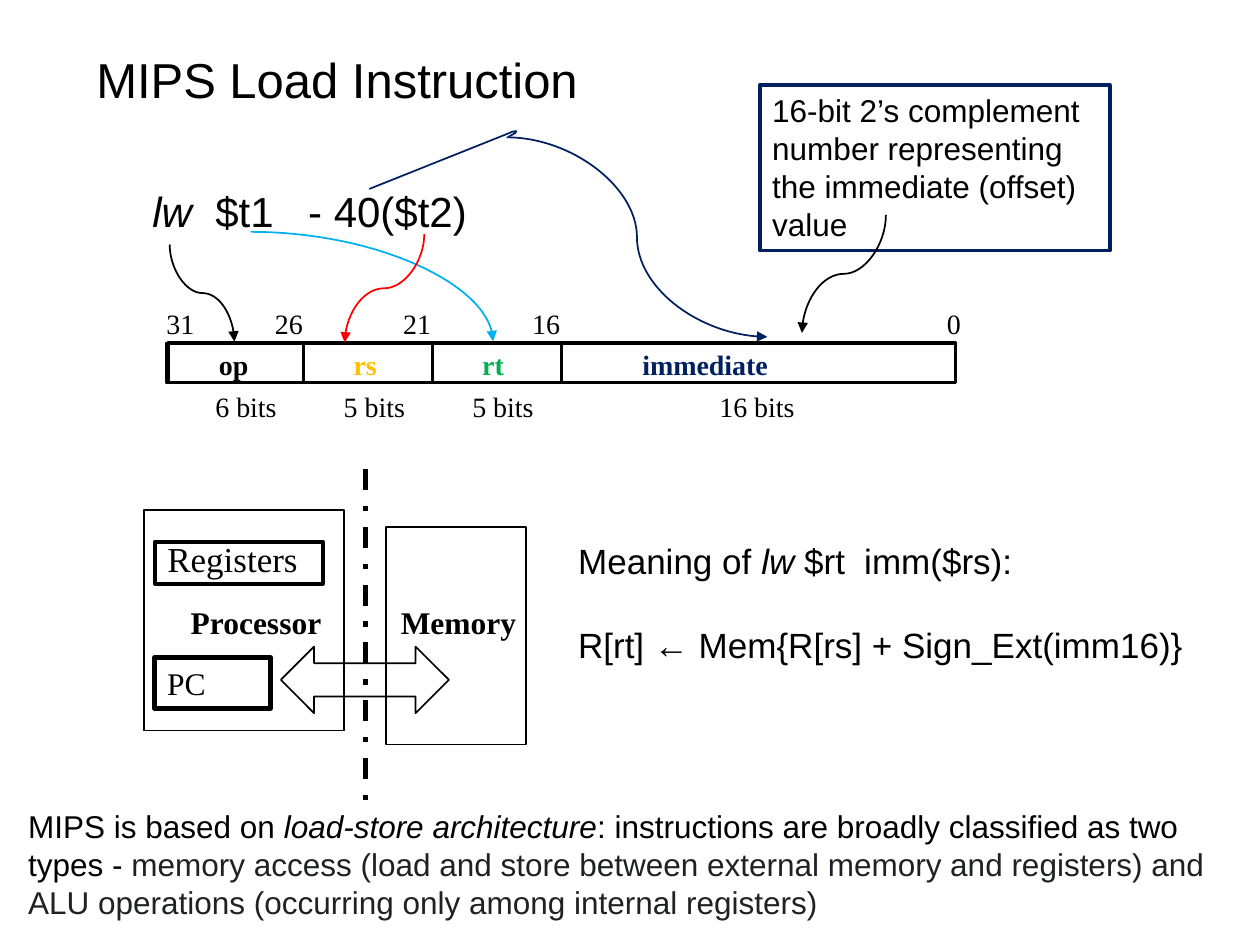
"""Build the MIPS load instruction slide."""
from lxml.etree import SubElement
from pptx import Presentation
from pptx.dml.color import RGBColor
from pptx.enum.dml import MSO_LINE
from pptx.enum.shapes import MSO_CONNECTOR, MSO_SHAPE
from pptx.enum.text import MSO_ANCHOR, PP_ALIGN
from pptx.oxml.ns import qn
from pptx.util import Pt

COLORS = {"black": "000000", "white": "FFFFFF", "navy": "002060", "gold": "FFC000",
          "green": "00B050", "sky": "00B0F0", "red": "FF0000", "gray": "202124"}
ARIAL, TIMES = "Arial", "Times New Roman"


def write(sp, paras, size, font, color="black", bold=False, margins=(7.2, 3.6), **para_fmt):
    tf = sp.text_frame
    frame_fmt = {"word_wrap": True, "vertical_anchor": MSO_ANCHOR.TOP,
                 "margin_left": Pt(margins[0]), "margin_right": Pt(margins[0]),
                 "margin_top": Pt(margins[1]), "margin_bottom": Pt(margins[1])}
    for key, value in frame_fmt.items():
        setattr(tf, key, value)
    for i, runs in enumerate(paras):
        p = tf.add_paragraph() if i else tf.paragraphs[0]
        for key, value in ({"alignment": PP_ALIGN.LEFT} | para_fmt).items():
            setattr(p, key, value)
        for text, *extra in runs:
            r = p.add_run()
            r.text = text
            fmt = {"size": Pt(size), "name": font, "bold": bold, "italic": "italic" in extra}
            for key, value in fmt.items():
                setattr(r.font, key, value)
            shade = next((e for e in extra if e in COLORS), color)
            r.font.color.rgb = RGBColor.from_string(COLORS[shade])
    return tf


def outline(sp, width, color="black", fill=None):
    sp.shadow.inherit = False
    if fill:
        sp.fill.solid()
        sp.fill.fore_color.rgb = RGBColor.from_string(COLORS[fill])
    else:
        sp.fill.background()
    sp.line.width = Pt(width)
    sp.line.color.rgb = RGBColor.from_string(COLORS[color])
    return sp


prs = Presentation()
prs.slide_width, prs.slide_height = Pt(720), Pt(540)
s = prs.slides.add_slide(prs.slide_layouts[6])
shapes = s.shapes

title = shapes.add_textbox(Pt(48), Pt(0), Pt(612), Pt(90))
write(title, [[("MIPS Load Instruction",)]], 28, ARIAL).vertical_anchor = MSO_ANCHOR.MIDDLE

outline(shapes.add_shape(MSO_SHAPE.RECTANGLE, Pt(96), Pt(196), Pt(450), Pt(22.5)), 2)
fields = [("op", "black", 95, 78, 118, 36, "6 bits", 116),
          ("rs", "gold", 174, 73, 195, 36, "5 bits", 189.3),
          ("rt", "green", 247.5, 73, 268.5, 36, "5 bits", 262.8),
          ("immediate", "navy", 321, 225, 360, 92, "16 bits", 404)]
for name, color, left, width, name_left, name_width, bits, bits_left in fields:
    outline(shapes.add_shape(MSO_SHAPE.RECTANGLE, Pt(left), Pt(196), Pt(width), Pt(23)), 1)
    sp = shapes.add_textbox(Pt(name_left), Pt(195), Pt(name_width), Pt(26))
    write(sp, [[(name,)]], 16, TIMES, color, bold=True)
    sp = shapes.add_textbox(Pt(bits_left), Pt(219), Pt(9 * len(bits)), Pt(26))
    write(sp, [[(bits,)]], 16, TIMES)

for bit, left in [("31", 88), ("26", 150), ("21", 223.3), ("16", 297), ("0", 534)]:
    sp = shapes.add_textbox(Pt(left), Pt(171.5), Pt(16 + 9 * len(bit)), Pt(26))
    write(sp, [[(bit,)]], 16, TIMES)

sp = shapes.add_textbox(Pt(80), Pt(102.3), Pt(470), Pt(36))
instruction = write(sp, [[("lw", "italic"), ("\t$t1\t- 40($t2)",)]], 24, ARIAL)

for label, left, width, align in [("Processor", 107.5, 120, PP_ALIGN.LEFT),
                                  ("Memory", 214, 96, PP_ALIGN.CENTER)]:
    if label == "Memory":
        outline(shapes.add_shape(MSO_SHAPE.RECTANGLE, Pt(220.5), Pt(301), Pt(80), Pt(124.5)), 1, fill="white")
    sp = shapes.add_textbox(Pt(left), Pt(337), Pt(width), Pt(48))
    write(sp, [[(label,)]], 18, TIMES, bold=True, margins=(1.5, 2),
          alignment=align, line_spacing=Pt(27))

outline(shapes.add_shape(MSO_SHAPE.RECTANGLE, Pt(82.5), Pt(291.5), Pt(114), Pt(126)), 1)
outline(shapes.add_shape(MSO_SHAPE.LEFT_RIGHT_ARROW, Pt(160.5), Pt(369.5), Pt(96), Pt(38)), 1)
sp = shapes.add_textbox(Pt(88.5), Pt(303.7), Pt(120), Pt(31))
write(sp, [[("Registers",)]], 20, TIMES)
outline(shapes.add_shape(MSO_SHAPE.RECTANGLE, Pt(88.5), Pt(309.5), Pt(96), Pt(24)), 2.25)
sp = outline(shapes.add_shape(MSO_SHAPE.RECTANGLE, Pt(88.5), Pt(375.8), Pt(66), Pt(29)), 3)
write(sp, [[("PC",)]], 18, TIMES)

sp = shapes.add_textbox(Pt(323.3), Pt(304.5), Pt(360), Pt(80))
meaning = write(sp, [[("Meaning of ",), ("lw", "italic"), (" $rt\timm($rs):",)],
                     [("R[rt] ← Mem{R[rs] + Sign_Ext(imm16)}",)]], 20, ARIAL)
meaning.paragraphs[1].space_before = Pt(24)

for tf, stops in [(instruction, (36, 89)), (meaning, (163.5,))]:
    tabs = SubElement(tf.paragraphs[0]._p.get_or_add_pPr(), qn("a:tabLst"))
    for stop in stops:
        SubElement(tabs, qn("a:tab"), pos=str(Pt(stop)), algn="l")

sp = shapes.add_textbox(Pt(9), Pt(457.7), Pt(690.5), Pt(73))
write(sp, [[("MIPS is based on ",), ("load-store architecture", "italic"),
            (": instructions are broadly classified as two types - ",),
            ("memory access (load and store between external memory and registers) and "
             "ALU operations (occurring only among internal registers)", "gray")]], 18, ARIAL)

sp = outline(shapes.add_shape(MSO_SHAPE.RECTANGLE, Pt(434.2), Pt(48.7), Pt(200), Pt(94.5)), 2.25, "navy")
write(sp, [[("16-bit 2’s complement number representing the immediate (offset) value",)]], 18, ARIAL)

fb = shapes.build_freeform(Pt(211), Pt(108))
fb.add_line_segments([(Pt(x), Pt(y)) for x, y in
                      [(288.7, 77), (293, 75.2), (295, 75), (294.5, 76), (291, 78), (291.5, 78.3)]], close=False)
outline(fb.convert_to_shape(), 1, "navy")

connectors = [("line", 209, 268, 0, 191.5, 0, "black", 3),
              ("curvedConnector2", 143.3, 132.5, 138.5, 62.5, 0, "sky", 1),
              ("curvedConnector3", 188.7, 142, 62, 45.5, 90, "red", 1),
              ("curvedConnector3", 289.5, 78.5, 149, 114, 0, "navy", 1),
              ("curvedConnector3", 87.7, 149, 55.5, 37, 270, "black", 1),
              ("curvedConnector3", 448.5, 132.5, 67.5, 48, 90, "black", 1)]
for preset, left, top, width, height, turn, color, weight in connectors:
    kind = MSO_CONNECTOR.STRAIGHT if preset == "line" else MSO_CONNECTOR.CURVE
    x1, x2 = (left + width, left) if turn == 270 else (left, left + width)
    c = shapes.add_connector(kind, Pt(x1), Pt(top), Pt(x2), Pt(top + height))
    c.line.width = Pt(weight)
    c.line.color.rgb = RGBColor.from_string(COLORS[color])
    pr = c._element.spPr
    pr.find(qn("a:xfrm")).set("rot", str(turn * 60000))
    pr.find(qn("a:prstGeom")).set("prst", preset)
    if preset == "line":
        c.line.dash_style = MSO_LINE.DASH_DOT
    else:
        SubElement(pr.find(qn("a:ln")), qn("a:tailEnd"), type="triangle")
    SubElement(pr, qn("a:effectLst"))

prs.save("out.pptx")
